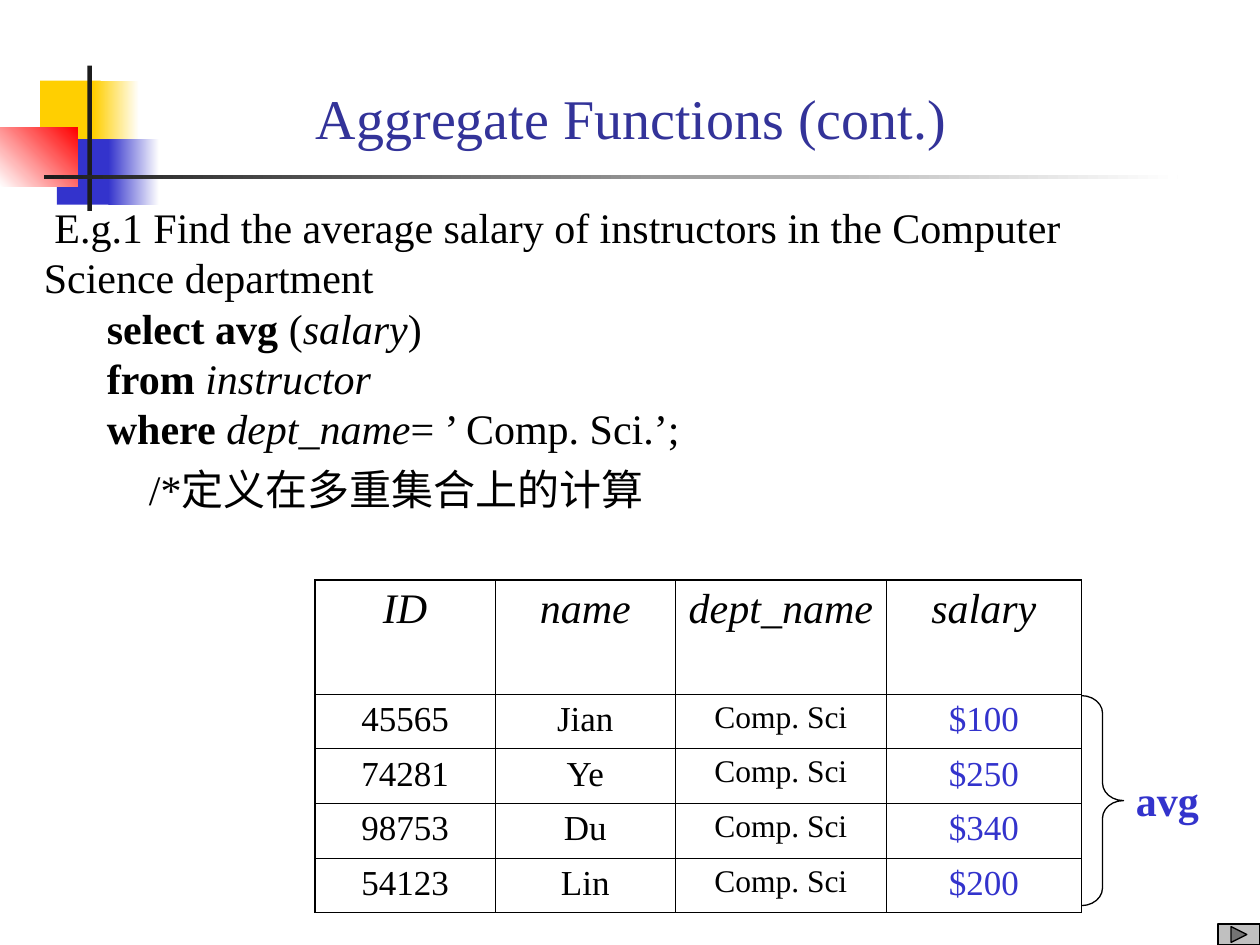
from dataclasses import dataclass
from typing import Optional

from lxml.etree import SubElement
from pptx import Presentation
from pptx.dml.color import RGBColor
from pptx.enum.shapes import MSO_SHAPE as Shape
from pptx.enum.text import MSO_ANCHOR as Anchor, MSO_AUTO_SIZE as AutoSize, PP_ALIGN as Align
from pptx.oxml.ns import qn
from pptx.util import Pt

FONT = "Times New Roman"
COLORS = {
    "black": "000000", "white": "FFFFFF", "yellow": "FFCF01", "blue": "3333CC",
    "red": "FF0000", "charcoal": "1C1C1C", "title": "333399", "gray": "C0C0C0",
}


@dataclass
class Block:
    """A borderless rectangle; with an end colour it becomes a gradient."""
    left: float
    top: float
    width: float
    height: float
    color: str
    end: Optional[str] = None
    angle: float = 0


@dataclass
class Column:
    header: str
    width: float
    values: list[str]
    size: float = 20
    color: str = "black"


BLOCKS = [
    Block(23, 46, 34.5, 37.5, "yellow"),
    Block(53.5, 46, 26, 37.5, "yellow", "white"),
    Block(32.5, 79.5, 33, 37.5, "blue"),
    Block(62, 79.5, 29, 37.5, "blue", "white"),
    Block(0, 73, 44.5, 33.5, "white", "red", 45),
    Block(50, 37.5, 2.5, 83, "charcoal"),
    Block(25, 100, 648, 2.5, "charcoal", "white"),
]
COLUMNS = [
    Column("ID", 103, ["45565", "74281", "98753", "54123"]),
    Column("name", 103, ["Jian", "Ye", "Du", "Lin"]),
    Column("dept_name", 120.5, ["Comp. Sci"] * 4, size=18),
    Column("salary", 111.5, ["$100", "$250", "$340", "$200"], color="blue"),
]
# Each line of the query: (text, style) runs
QUERY = [
    [("select avg ", "bold"), ("(", ""), ("salary", "italic"), (")", "")],
    [("from ", "bold"), ("instructor", "italic")],
    [("where ", "bold"), ("dept_name", "italic"), ("= ’ Comp. Sci.’;", "")],
]


def rgb(name: str) -> RGBColor:
    return RGBColor.from_string(COLORS[name])


def set_font(paragraph, size: float, color: str = "black") -> None:
    font = paragraph.font
    font.name, font.size = FONT, Pt(size)
    font.color.rgb = rgb(color)


def set_indent(paragraph, left: float, first: float = 0) -> None:
    properties = paragraph._p.get_or_add_pPr()
    properties.set("marL", str(Pt(left)))
    properties.set("indent", str(Pt(first)))


def add_shape(slide, kind, left: float, top: float, width: float, height: float):
    shape = slide.shapes.add_shape(kind, Pt(left), Pt(top), Pt(width), Pt(height))
    shape.shadow.inherit = False
    return shape


def add_block(slide, block: Block) -> None:
    shape = add_shape(slide, Shape.RECTANGLE, block.left, block.top, block.width, block.height)
    shape.line.fill.background()
    if block.end is None:
        shape.fill.solid()
        shape.fill.fore_color.rgb = rgb(block.color)
        return
    shape.fill.gradient()
    shape.fill.gradient_angle = block.angle
    for stop, color in zip(shape.fill.gradient_stops, (block.color, block.end)):
        stop.color.rgb = rgb(color)


def add_text_box(slide, left: float, top: float, width: float, height: float, wrap: bool):
    frame = slide.shapes.add_textbox(Pt(left), Pt(top), Pt(width), Pt(height)).text_frame
    frame.word_wrap = wrap
    return frame


def add_query(slide) -> None:
    frame = add_text_box(slide, 18, 111.5, 666, 215, True)
    task = frame.paragraphs[0]
    task.text = "E.g.1 Find the average salary of instructors in the Computer Science department"
    set_indent(task, 0, 6)

    query = frame.add_paragraph()
    set_indent(query, 36)
    for number, line in enumerate(QUERY):
        if number:
            query.add_line_break()
        for text, style in line:
            run = query.add_run()
            run.text = text
            run.font.bold = style == "bold"
            run.font.italic = style == "italic"

    comment = frame.add_paragraph()
    comment.text = "/*定义在多重集合上的计算"
    comment.space_before = Pt(6)
    set_indent(comment, 60)
    for paragraph in frame.paragraphs:
        set_font(paragraph, 24)


def set_borders(cell, widths: dict[str, float]) -> None:
    properties = cell._tc.get_or_add_tcPr()
    for position, (side, width) in enumerate(widths.items()):
        line = SubElement(properties, qn(f"a:ln{side}"), w=str(Pt(width)))
        fill = SubElement(line, qn("a:solidFill"))
        SubElement(fill, qn("a:srgbClr"), val=COLORS["black"])
        properties.insert(position, line)


def add_salary_table(slide) -> None:
    heights = [65] + [31.2] * 4
    last_row, last_column = len(heights) - 1, len(COLUMNS) - 1
    total_width = sum(column.width for column in COLUMNS)
    table = slide.shapes.add_table(len(heights), len(COLUMNS), Pt(180), Pt(331.5),
                                   Pt(total_width), Pt(sum(heights))).table
    for row, height in zip(table.rows, heights):
        row.height = Pt(height)
    for c, column in enumerate(COLUMNS):
        table.columns[c].width = Pt(column.width)
        for r, text in enumerate([column.header] + column.values):
            cell = table.cell(r, c)
            cell.fill.background()
            paragraph = cell.text_frame.paragraphs[0]
            paragraph.text = text
            paragraph.alignment = Align.CENTER
            is_header = r == 0
            set_font(paragraph, 24 if is_header else column.size,
                     "black" if is_header else column.color)
            paragraph.font.bold = False
            paragraph.font.italic = is_header
            outer = {"L": c == 0, "R": c == last_column, "T": is_header, "B": r == last_row}
            set_borders(cell, {side: 1.08 if edge else 0.45 for side, edge in outer.items()})


def add_average_label(slide) -> None:
    brace = add_shape(slide, Shape.RIGHT_BRACE, 618, 397.5, 24, 120)
    brace.adjustments[0] = 0.42
    brace.fill.background()
    brace.line.color.rgb = rgb("black")
    brace.line.width = Pt(0.75)
    label = add_text_box(slide, 642, 439, 50.5, 36, False).paragraphs[0]
    label.text = "avg"
    set_font(label, 24, "blue")
    label.font.bold = True


def add_next_button(slide) -> None:
    button = add_shape(slide, Shape.ACTION_BUTTON_FORWARD_OR_NEXT, 696, 528, 24, 12)
    button.fill.solid()
    button.fill.fore_color.rgb = rgb("gray")
    button.line.color.rgb = rgb("black")
    button.line.width = Pt(0.75)


def add_title(slide) -> None:
    title = slide.shapes.title
    title.left, title.top, title.width, title.height = Pt(54), Pt(0), Pt(613.5), Pt(90)
    frame = title.text_frame
    frame.auto_size = AutoSize.NONE
    frame.vertical_anchor = Anchor.BOTTOM
    paragraph = frame.paragraphs[0]
    paragraph.text = "Aggregate Functions (cont.)"
    paragraph.alignment = Align.CENTER
    set_font(paragraph, 32, "title")


def main() -> None:
    presentation = Presentation()
    presentation.slide_width, presentation.slide_height = Pt(720), Pt(540)
    slide = presentation.slides.add_slide(presentation.slide_layouts[5])

    # Corner ornament and rule
    for block in BLOCKS:
        add_block(slide, block)
    # Heading, query and result
    add_title(slide)
    add_query(slide)
    add_salary_table(slide)
    add_average_label(slide)
    add_next_button(slide)
    presentation.save("out.pptx")


if __name__ == "__main__":
    main()
